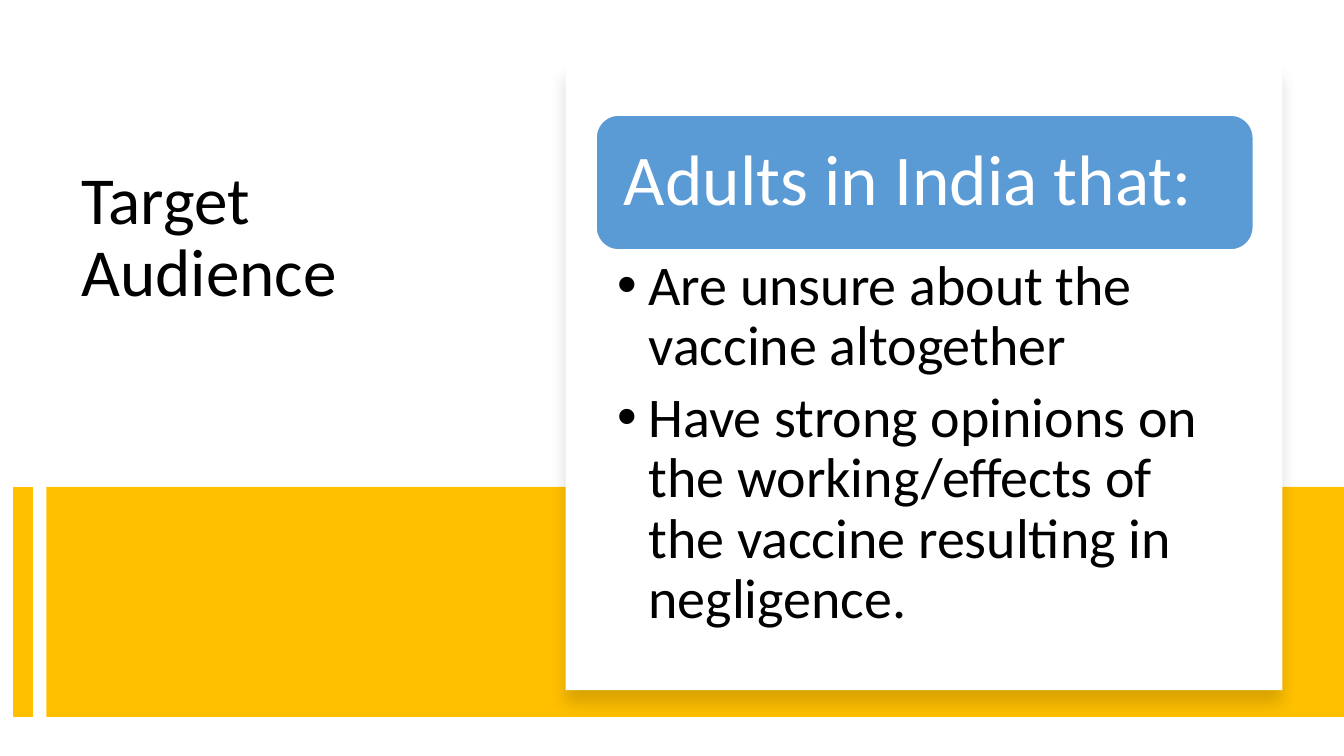
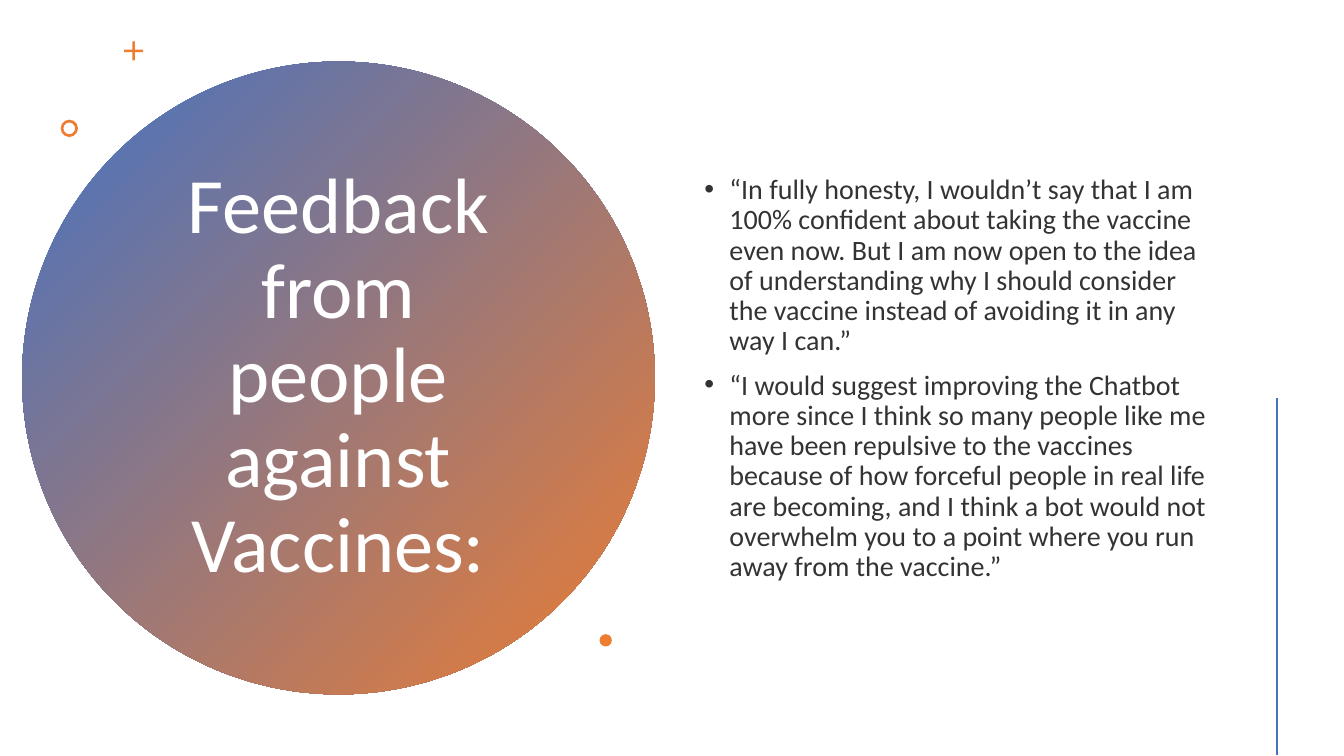
import dataclasses

import lxml.etree
import pptx
import pptx.dml.color
import pptx.enum.shapes
import pptx.enum.text
import pptx.oxml.ns
import pptx.util

Pt = pptx.util.Pt
rgb = pptx.dml.color.RGBColor.from_string
qn = pptx.oxml.ns.qn
kinds = pptx.enum.shapes.MSO_SHAPE
straight = pptx.enum.shapes.MSO_CONNECTOR.STRAIGHT
anchors = pptx.enum.text.MSO_ANCHOR
aligns = pptx.enum.text.PP_ALIGN


@dataclasses.dataclass(frozen=True)
class Theme:
    """Colours, font and type sizes of the deck."""
    font: str = "Calibri"
    white: str = "FFFFFF"
    black: str = "000000"
    gray: str = "333333"
    gold: str = "FFC000"
    sky: str = "5B9BD5"
    blue: str = "4472C4"
    orange: str = "ED7D31"
    title: int = 48
    hero: int = 56
    head: int = 51
    point: int = 40
    quote: int = 20
    pitch: float = 0.9


theme = Theme()


def draw(slide, kind, box, fill, line=None):
    """Add a flat preset shape; box is left, top, width, height."""
    shape = slide.shapes.add_shape(kind, *map(Pt, box))
    shape.shadow.inherit = False
    shape.fill.solid()
    shape.fill.fore_color.rgb = rgb(fill)
    if line:
        shape.line.color.rgb = rgb(line)
        shape.line.width = Pt(1)
    else:
        shape.line.fill.background()
    return shape


def write(slide, box, *texts, size, color=theme.black, align=aligns.LEFT,
          anchor=anchors.TOP, inset=(7.2, 3.6, 7.2, 3.6),
          before=0, after=0, indent=0):
    """Add a text box, one paragraph per text; an indent gives bullets."""
    frame = slide.shapes.add_textbox(*map(Pt, box)).text_frame
    frame.word_wrap = True
    frame.vertical_anchor = anchor
    (frame.margin_left, frame.margin_top,
     frame.margin_right, frame.margin_bottom) = map(Pt, inset)
    for i, text in enumerate(texts):
        para = frame.add_paragraph() if i else frame.paragraphs[0]
        para.alignment = align
        para.line_spacing = theme.pitch
        para.space_before = Pt(before)
        para.space_after = Pt(after)
        run = para.add_run()
        run.text = text
        run.font.name = theme.font
        run.font.size = Pt(size)
        run.font.color.rgb = rgb(color)
        if indent:
            props = para._p.get_or_add_pPr()
            props.set("marL", str(Pt(indent)))
            props.set("indent", str(-Pt(indent)))
            lxml.etree.SubElement(props, qn("a:buFont"), typeface="Arial")
            lxml.etree.SubElement(props, qn("a:buChar"), char="\u2022")


deck = pptx.Presentation()
deck.slide_width = Pt(960)
deck.slide_height = Pt(540)
blank = deck.slide_layouts[6]
first = deck.slides.add_slide(blank)
second = deck.slides.add_slide(blank)

# Bars: gold block edge on the first slide, thin rule on the second
for slide, x, top, end, color, width in (
        (first, 16.5, 347.8, 512, theme.gold, 14),
        (second, 912.2, 284.4, 539.3, theme.blue, 2)):
    bar = slide.shapes.add_connector(straight, Pt(x), Pt(top), Pt(x), Pt(end))
    bar.line.color.rgb = rgb(color)
    bar.line.width = Pt(width)
    lxml.etree.SubElement(bar._element.spPr, qn("a:effectLst"))

# Target audience
draw(first, kinds.RECTANGLE, (33.1, 347.8, 926.9, 164.2), theme.gold)
write(first, (51, 115.2, 299, 211.5), "Target Audience", size=theme.title)

card = draw(first, kinds.RECTANGLE, (404, 46, 512, 447), theme.white)
effects = card._element.spPr.find(qn("a:effectLst"))
shade = lxml.etree.SubElement(
    effects, qn("a:outerShdw"), blurRad=str(Pt(11)), dist=str(Pt(10)),
    dir="5400000", algn="t", rotWithShape="0")
tint = lxml.etree.SubElement(shade, qn("a:srgbClr"), val=theme.black)
lxml.etree.SubElement(tint, qn("a:alpha"), val="15000")

draw(first, kinds.ROUNDED_RECTANGLE, (425.8, 82.3, 469.4, 96.2),
     theme.sky, theme.white)
write(first, (430.6, 87, 460, 87), "Adults in India that:",
      size=theme.head, color=theme.white, anchor=anchors.MIDDLE,
      inset=(15, 15, 15, 15))
write(first, (425.8, 178.5, 469.4, 291),
      "Are unsure about the vaccine altogether",
      "Have strong opinions on the working/effects of the vaccine "
      "resulting in negligence.",
      size=theme.point, inset=(15, 5, 29, 5), after=8, indent=22.5)

# Feedback
disc = draw(second, kinds.OVAL, (15.8, 44, 452, 452), theme.blue)
disc.fill.gradient()
disc.fill.gradient_angle = 315
for stop, place, color in zip(disc.fill.gradient_stops, (0, 1),
                              (theme.blue, theme.orange)):
    stop.position = place
    stop.color.rgb = rgb(color)
write(second, (98, 101.5, 287.3, 336.2),
      "Feedback from people against Vaccines:", size=theme.hero,
      color=theme.white, align=aligns.CENTER, anchor=anchors.MIDDLE)

for kind, left, top, side, adjust in (
        (kinds.CROSS, 88.6, 29.5, 13.7, 0.43),
        (kinds.DONUT, 43.3, 85.5, 12.4, 0.16),
        (kinds.OVAL, 428.3, 453, 8.8, None)):
    mark = draw(second, kind, (left, top, side, side), theme.orange)
    if adjust:
        mark.adjustments[0] = adjust

write(second, (496, 41, 376, 459.4),
      "“In fully honesty, I wouldn’t say that I am 100% confident about "
      "taking the vaccine even now. But I am now open to the idea of "
      "understanding why I should consider the vaccine instead of avoiding "
      "it in any way I can.”",
      "“I would suggest improving the Chatbot more since I think so many "
      "people like me have been repulsive to the vaccines because of how "
      "forceful people in real life are becoming, and I think a bot would "
      "not overwhelm you to a point where you run away from the vaccine.”",
      size=theme.quote, color=theme.gray, anchor=anchors.MIDDLE,
      before=10, indent=18)

deck.save("out.pptx")
